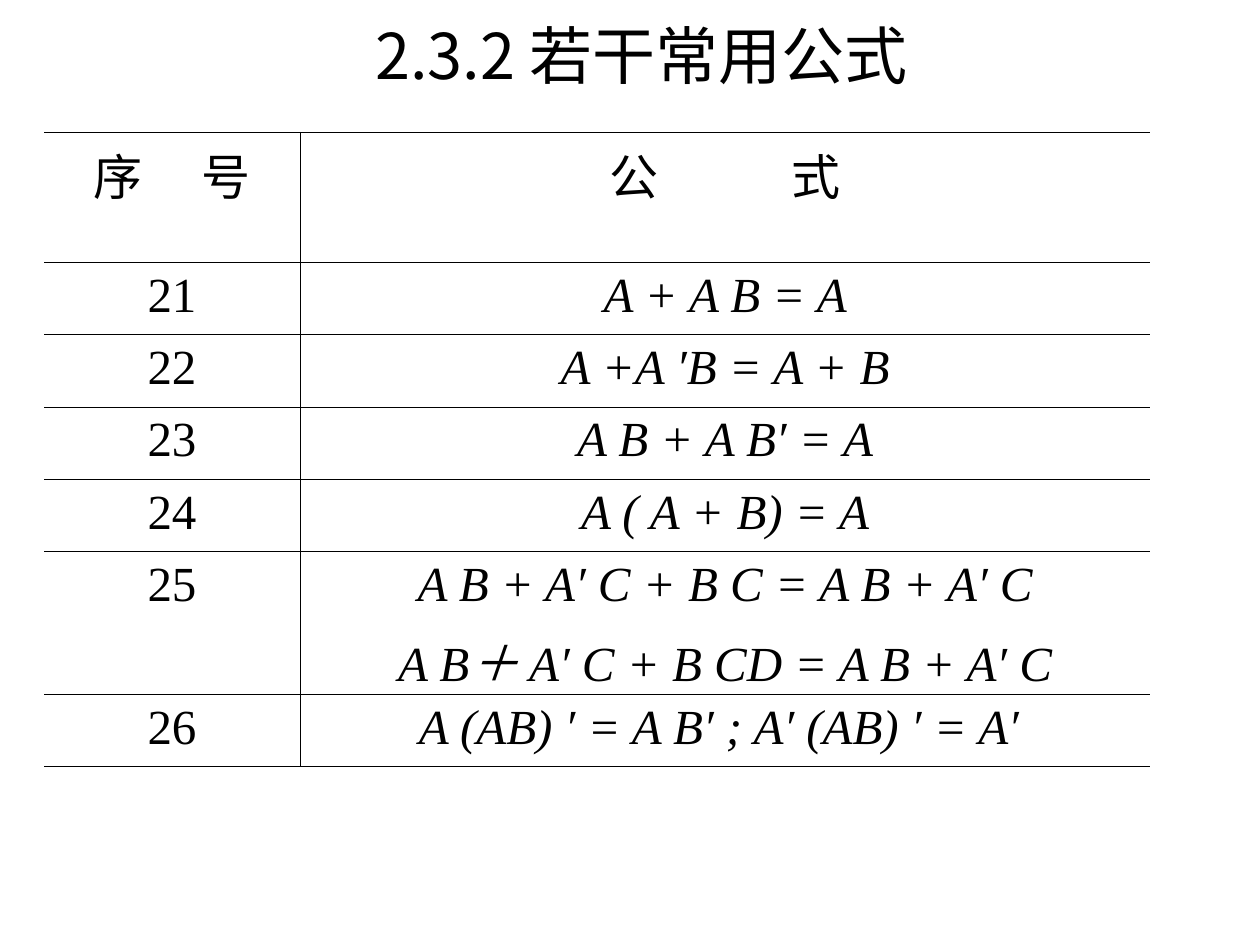
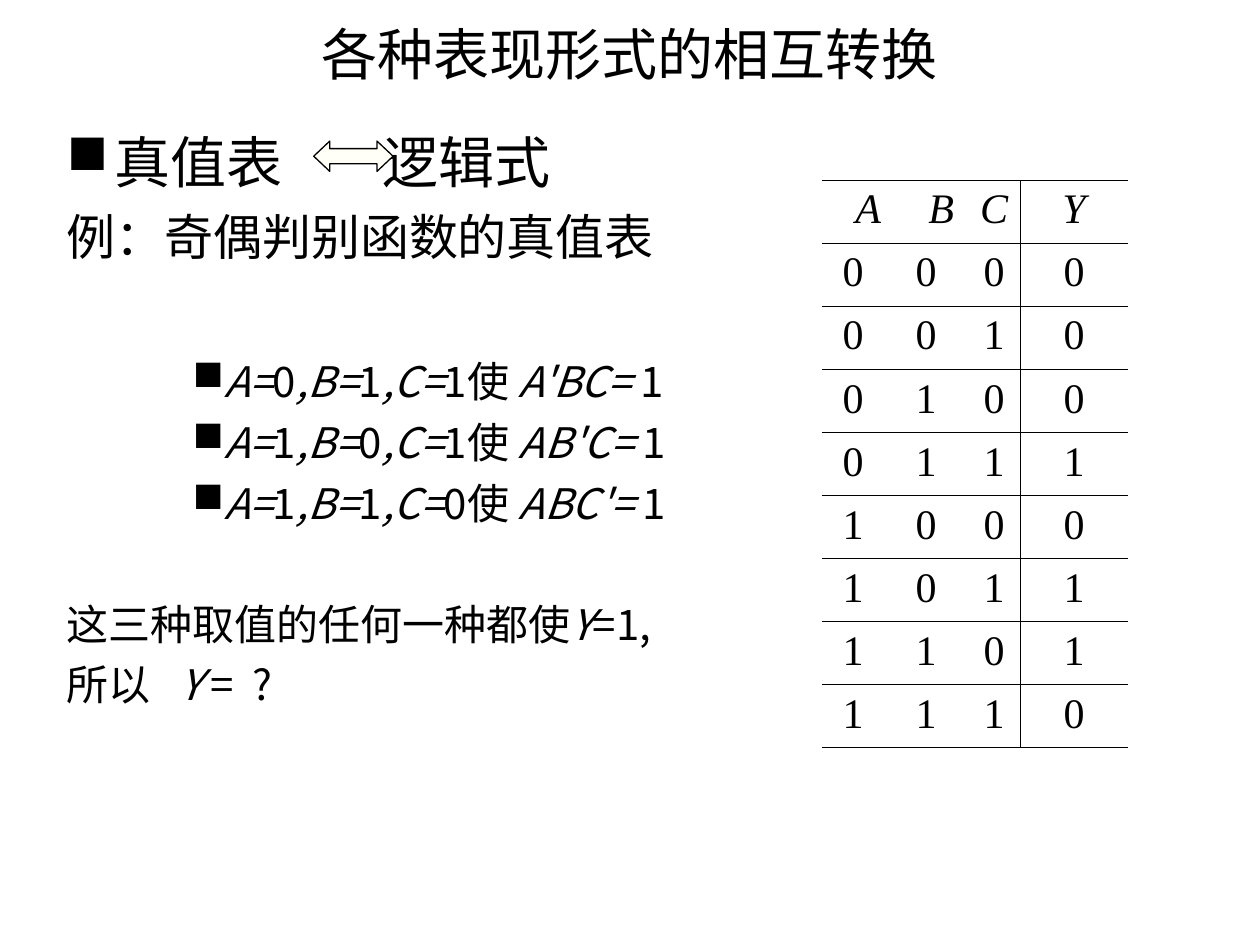
import pptx
import pptx.util
import pptx.dml.color
import pptx.enum.shapes
import pptx.enum.text
import pptx.oxml.ns
import lxml.etree

ALIGN = pptx.enum.text.PP_ALIGN
ANCHOR = pptx.enum.text.MSO_ANCHOR
INK, ARROW_FILL = "000000", "FFFFF7"
SANS, SERIF = "Noto Sans CJK SC", "Times New Roman"
COLUMNS, ROWS = 100, 75


def color(value):
    return pptx.dml.color.RGBColor.from_string(value)


def add_xml(parent, tag, **attributes):
    return lxml.etree.SubElement(parent, pptx.oxml.ns.qn(tag), attributes)


class Deck:
    """Style and current slide; lengths are columns and rows of the grid."""

    def __init__(self):
        self.deck = pptx.Presentation()
        self.deck.slide_width = pptx.util.Inches(10)
        self.deck.slide_height = pptx.util.Inches(7.5)

    def new_slide(self):
        self.slide = self.deck.slides.add_slide(self.deck.slide_layouts[6])

    def x(self, columns):
        return round(self.deck.slide_width * columns / COLUMNS)

    def y(self, rows):
        return round(self.deck.slide_height * rows / ROWS)

    def box(self, left, top, width, height):
        return self.x(left), self.y(top), self.x(width), self.y(height)

    def run(self, paragraph, text, size, font, italic=False, gap=0):
        run = paragraph.add_run()
        run.text = text
        run.font.size = pptx.util.Pt(size)
        run.font.name = font
        run.font.italic = italic
        run.font.color.rgb = color(INK)
        properties = run.font._element
        add_xml(properties, "a:ea", typeface=SANS)
        if gap:
            properties.set("spc", str(gap * 100))

    def add_runs(self, paragraph, text, size, font=SANS, gap=0):
        """Underscores switch italics on and off; a bar is a gap in points."""
        for part, styled in enumerate(text.split("_")):
            for piece, words in enumerate(styled.split("|")):
                if piece:
                    self.run(paragraph, " ", size, font, gap=gap)
                if words:
                    self.run(paragraph, words, size, font, part % 2 == 1)

    def text_frame(self, *place):
        frame = self.slide.shapes.add_textbox(*self.box(*place)).text_frame
        frame.word_wrap = True
        return frame

    def title(self, text, size, left, top):
        frame = self.text_frame(left, top, 90, 9.7)
        frame.vertical_anchor = ANCHOR.MIDDLE
        frame.paragraphs[0].alignment = ALIGN.CENTER
        self.add_runs(frame.paragraphs[0], text, size)

    def body(self, place, lines):
        """Each line: text, size, space before, indent, hanging, bullet, gap."""
        frame = self.text_frame(*place)
        for number, (text, size, before, indent, hang, bullet, gap) in enumerate(lines):
            paragraph = frame.add_paragraph() if number else frame.paragraphs[0]
            paragraph.space_before = pptx.util.Pt(before)
            paragraph.line_spacing = pptx.util.Pt(1.2 * size)
            properties = paragraph._p.get_or_add_pPr()
            properties.set("marL", str(self.x(indent)))
            properties.set("indent", str(-self.x(hang)))
            if bullet:
                tint = add_xml(properties, "a:buClr")
                add_xml(tint, "a:srgbClr", val=INK)
                add_xml(properties, "a:buChar", char="■")
            self.add_runs(paragraph, text, size, gap=gap)

    def double_arrow(self, *place):
        arrow = self.slide.shapes.add_shape(
            pptx.enum.shapes.MSO_SHAPE.LEFT_RIGHT_ARROW, *self.box(*place))
        arrow.adjustments[0], arrow.adjustments[1] = 0.5, 0.53
        arrow.shadow.inherit = False
        arrow.fill.solid()
        arrow.fill.fore_color.rgb = color(ARROW_FILL)
        arrow.line.color.rgb = color(INK)
        arrow.line.width = pptx.util.Pt(0.75)

    def borders(self, cell, visible):
        properties = cell._tc.get_or_add_tcPr()
        for side in "LRTB":
            line = add_xml(properties, "a:ln" + side, w=str(pptx.util.Pt(0.45)))
            if side in visible:
                add_xml(add_xml(line, "a:solidFill"), "a:srgbClr", val=INK)
            else:
                add_xml(line, "a:noFill")
        add_xml(properties, "a:noFill")

    def table(self, left, top, widths, heights, grid, size, before, gaps=(), merges=()):
        """Ruled rows, and one upright rule ahead of the last column."""
        table = self.slide.shapes.add_table(
            len(heights), len(widths),
            *self.box(left, top, sum(widths), sum(heights))).table
        table.first_row = table.horz_banding = False
        for column, width in zip(table.columns, widths):
            column.width = self.x(width)
        for row, height in zip(table.rows, heights):
            row.height = self.y(height)
        for row, first, last in merges:
            table.cell(row, first).merge(table.cell(row, last))
        for r, texts in enumerate(grid):
            for c, text in enumerate(texts):
                cell = table.cell(r, c)
                upright = {len(widths) - 1: "L", len(widths) - 2: "R"}.get(c, "")
                self.borders(cell, "TB" + upright)
                if text is None:
                    continue
                for number, line in enumerate(text.split("\n")):
                    frame = cell.text_frame
                    paragraph = frame.add_paragraph() if number else frame.paragraphs[0]
                    paragraph.alignment = ALIGN.CENTER
                    paragraph.space_before = pptx.util.Pt(before)
                    self.add_runs(paragraph, line, size, SERIF, gaps[c] if gaps else 0)


deck = Deck()

# Slide 1: table of common formulas
deck.new_slide()
deck.title("2.3.2 若干常用公式", 36, 5.9, -0.5)
formulas = [
    "_A + A B = A_",
    "_A +A ′B = A + B_",
    "_A B + A B′ = A_",
    "_A ( A + B) = A_",
    "_A B + A′ C + B C = A B + A′ C_\n_A B＋ A′ C + B CD = A B + A′ C_",
    "_A (AB) ′ = A B′ ; A′ (AB) ′ = A′ _",
]
numbered = [(str(number), formula) for number, formula in enumerate(formulas, 21)]
deck.table(3.5, 10.5, [20.3, 67.5], [10.3] + [5.75] * 4 + [11.3, 5.75],
           [("序|号", "公|式")] + numbered, 28, 7, gaps=(28, 70))

# Slide 2: from truth table to logic expression
deck.new_slide()
deck.title("各种表现形式的相互转换", 32, 5, -0.6)
cases = [("011", "A'BC"), ("101", "AB'C"), ("110", "ABC'")]
case_lines = [
    (f"_A=_{a}_,B=_{b}_,C=_{c}使 _{term}= _1", 24, 6 if number else 51.4,
     12.5, 2.5, True, 0)
    for number, ((a, b, c), term) in enumerate(cases)]
deck.body((4.3, 9.6, 56, 51.1), [
    ("真值表|逻辑式", 32, 3, 3.8, 3.8, True, 50),
    ("例：奇偶判别函数的真值表", 28, 7, 3.8, 3.8, False, 0),
    *case_lines,
    ("这三种取值的任何一种都使_Y_=1,", 24, 40.3, 3.8, 3.8, False, 0),
    ("所以|_Y _=  ?", 24, 6, 3.8, 3.8, False, 11),
])
deck.double_arrow(24.9, 11.2, 6.3, 2.4)

# Parity function: Y is 1 when exactly two inputs are 1
truth_rows = [("_A_", None, "_B_", "_C_", "_Y_")]
for value in range(8):
    a, b, c = f"{value:03b}"
    truth_rows.append((a, b, None, c, str(int((a + b + c).count("1") == 2))))
merges = [(0, 0, 1)] + [(row, 1, 2) for row in range(1, 9)]
deck.table(65.2, 14.3, [5, 2.4, 4.2, 4.2, 8.5], [5] * 9, truth_rows, 24, 6,
           merges=merges)

deck.deck.save("out.pptx")
